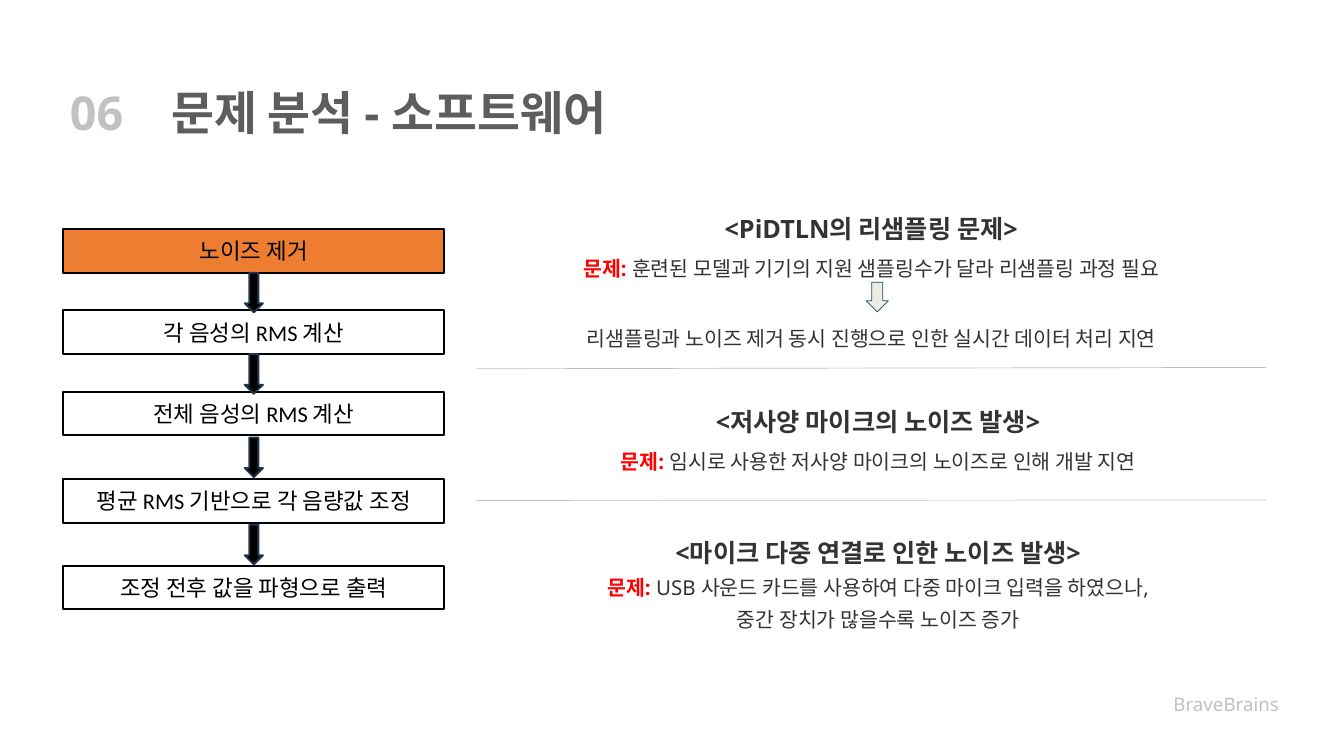
from dataclasses import dataclass
from typing import NamedTuple

from lxml import etree
from pptx import Presentation
from pptx import util as u
from pptx.dml.color import RGBColor
from pptx.enum import shapes, text
from pptx.oxml.ns import qn


@dataclass(frozen=True)
class Theme:
    heading_font: str = "Noto Sans"
    step_font: str = "Calibri"
    title_size: int = 50
    topic_size: int = 27
    step_size: int = 24
    body_size: int = 22
    footer_size: int = 20
    title: str = "5D5D5D"
    muted: str = "C1C1C1"
    body: str = "333333"
    problem: str = "FF0000"
    black: str = "000000"
    white: str = "FFFFFF"
    accent: str = "ED7D31"
    step_arrow_edge: str = "21364F"
    result_arrow: str = "EEECE1"
    result_arrow_edge: str = "1F497D"


THEME = Theme()


class Box(NamedTuple):
    """Left, top, width and height in centimetres."""
    left: float
    top: float
    width: float
    height: float

    def lengths(self) -> list:
        return [u.Cm(value) for value in self]


class Run(NamedTuple):
    wording: str
    size: int
    color: str
    bold: bool = False
    font: str = THEME.heading_font


class Line(NamedTuple):
    runs: list[Run]
    space_before: float = 0


class Topic(NamedTuple):
    box: Box
    line_spacing: float
    lines: list[Line]


class Step(NamedTuple):
    wording: str
    top: float
    arrow_top: float | None
    fill: str = THEME.white


def heading(wording: str) -> Line:
    return Line([Run(wording, THEME.topic_size, THEME.body, True)])


def body(wording: str, space_before: float = 0) -> Line:
    return Line([Run(wording, THEME.body_size, THEME.body)], space_before)


def problem(wording: str) -> Line:
    return Line([Run("문제:", THEME.body_size, THEME.problem, True),
                 Run(" " + wording, THEME.body_size, THEME.body)])


STEP_LEFT, STEP_WIDTH, STEP_HEIGHT = 2.39, 14.4, 1.65
ARROW_LEFT, ARROW_WIDTH, ARROW_HEIGHT = 9.25, 0.69, 1.5
STEPS = [
    Step("노이즈 제거", 8.66, 10.31, THEME.accent),
    Step("각 음성의 RMS 계산", 11.73, 13.39),
    Step("전체 음성의 RMS 계산", 14.81, 16.54),
    Step("평균 RMS 기반으로 각 음량값 조정", 18.11, 19.84),
    Step("조정 전후 값을 파형으로 출력", 21.39, None),
]
TOPICS = [
    Topic(Box(18.21, 7.34, 29.44, 6.07), 1.5, [
        heading("<PiDTLN의 리샘플링 문제>"),
        problem("훈련된 모델과 기기의 지원 샘플링수가 달라 리샘플링 과정 필요"),
        body("리샘플링과 노이즈 제거 동시 진행으로 인한 실시간 데이터 처리 지연", 36),
    ]),
    Topic(Box(18.47, 14.88, 29.44, 2.92), 1.5, [
        heading("<저사양 마이크의 노이즈 발생>"),
        problem("임시로 사용한 저사양 마이크의 노이즈로 인해 개발 지연"),
    ]),
    Topic(Box(18.47, 19.79, 29.44, 4.27), 1.3, [
        heading("<마이크 다중 연결로 인한 노이즈 발생>"),
        problem("USB 사운드 카드를 사용하여 다중 마이크 입력을 하였으나,"),
        body("중간 장치가 많을수록 노이즈 증가"),
    ]),
]
DIVIDERS = [(13.94, 13.89), (18.92, 18.9)]
DIVIDER_LEFT, DIVIDER_RIGHT = 18.01, 47.85


def set_values(target, values: dict) -> None:
    for name, value in values.items():
        setattr(target, name, value)


def write(shape, lines: list[Line], align, line_spacing: float = 1) -> None:
    frame = shape.text_frame
    set_values(frame, {
        "word_wrap": True, "auto_size": text.MSO_AUTO_SIZE.NONE,
        "vertical_anchor": text.MSO_ANCHOR.MIDDLE,
        "margin_left": u.Cm(0.25), "margin_right": u.Cm(0.25),
        "margin_top": u.Cm(0.13), "margin_bottom": u.Cm(0.13),
    })
    for index, line in enumerate(lines):
        paragraph = frame.add_paragraph() if index else frame.paragraphs[0]
        set_values(paragraph, {
            "alignment": align, "line_spacing": line_spacing,
            "space_before": u.Pt(line.space_before),
        })
        for part in line.runs:
            run = paragraph.add_run()
            run.text = part.wording
            set_values(run.font, {"name": part.font, "size": u.Pt(part.size),
                                  "bold": part.bold})
            run.font.color.rgb = RGBColor.from_string(part.color)


def add_label(slide, box: Box, lines: list[Line], align, line_spacing: float = 1) -> None:
    write(slide.shapes.add_textbox(*box.lengths()), lines, align, line_spacing)


def add_filled(slide, kind, box: Box, fill: str, edge: str, edge_width: float):
    shape = slide.shapes.add_shape(kind, *box.lengths())
    shape.shadow.inherit = False
    shape.fill.solid()
    shape.fill.fore_color.rgb = RGBColor.from_string(fill)
    shape.line.color.rgb = RGBColor.from_string(edge)
    shape.line.width = u.Pt(edge_width)
    return shape


def add_step(slide, step: Step) -> None:
    box = Box(STEP_LEFT, step.top, STEP_WIDTH, STEP_HEIGHT)
    shape = add_filled(slide, shapes.MSO_SHAPE.RECTANGLE, box, step.fill, THEME.black, 2)
    run = Run(step.wording, THEME.step_size, THEME.black, font=THEME.step_font)
    write(shape, [Line([run])], text.PP_ALIGN.CENTER)


def add_divider(slide, start: float, end: float) -> None:
    line = slide.shapes.add_connector(
        shapes.MSO_CONNECTOR.STRAIGHT, u.Cm(DIVIDER_LEFT), u.Cm(start),
        u.Cm(DIVIDER_RIGHT), u.Cm(end))
    line.line.color.rgb = RGBColor.from_string(THEME.muted)
    line.line.width = u.Pt(0.75)
    etree.SubElement(line._element.spPr, qn("a:effectLst"))


def main() -> None:
    presentation = Presentation()
    set_values(presentation, {"slide_width": u.Cm(50.8), "slide_height": u.Cm(28.58)})
    slide = presentation.slides.add_slide(presentation.slide_layouts[5])

    title = slide.shapes.title
    title_box = Box(6.22, 3.02, 30.33, 2.39)
    set_values(title, dict(zip(title_box._fields, title_box.lengths())))
    write(title, [Line([Run("문제 분석 - 소프트웨어", THEME.title_size, THEME.title, True)])],
          text.PP_ALIGN.LEFT)
    add_label(slide, Box(2.39, 3.02, 3.05, 2.39),
              [Line([Run("06", THEME.title_size, THEME.muted, True)])], text.PP_ALIGN.LEFT)
    add_label(slide, Box(26.92, 26.04, 21.67, 1.12),
              [Line([Run("BraveBrains", THEME.footer_size, THEME.muted)])],
              text.PP_ALIGN.RIGHT)

    for step in STEPS:
        add_step(slide, step)
    for step in STEPS:
        if step.arrow_top is not None:
            box = Box(ARROW_LEFT, step.arrow_top, ARROW_WIDTH, ARROW_HEIGHT)
            add_filled(slide, shapes.MSO_SHAPE.DOWN_ARROW, box, THEME.black,
                       THEME.step_arrow_edge, 2)

    for topic in TOPICS:
        add_label(slide, topic.box, topic.lines, text.PP_ALIGN.CENTER, topic.line_spacing)
    add_filled(slide, shapes.MSO_SHAPE.DOWN_ARROW, Box(32.74, 10.67, 0.84, 1.12),
               THEME.result_arrow, THEME.result_arrow_edge, 0.75)
    for start, end in DIVIDERS:
        add_divider(slide, start, end)

    presentation.save("out.pptx")


if __name__ == "__main__":
    main()
